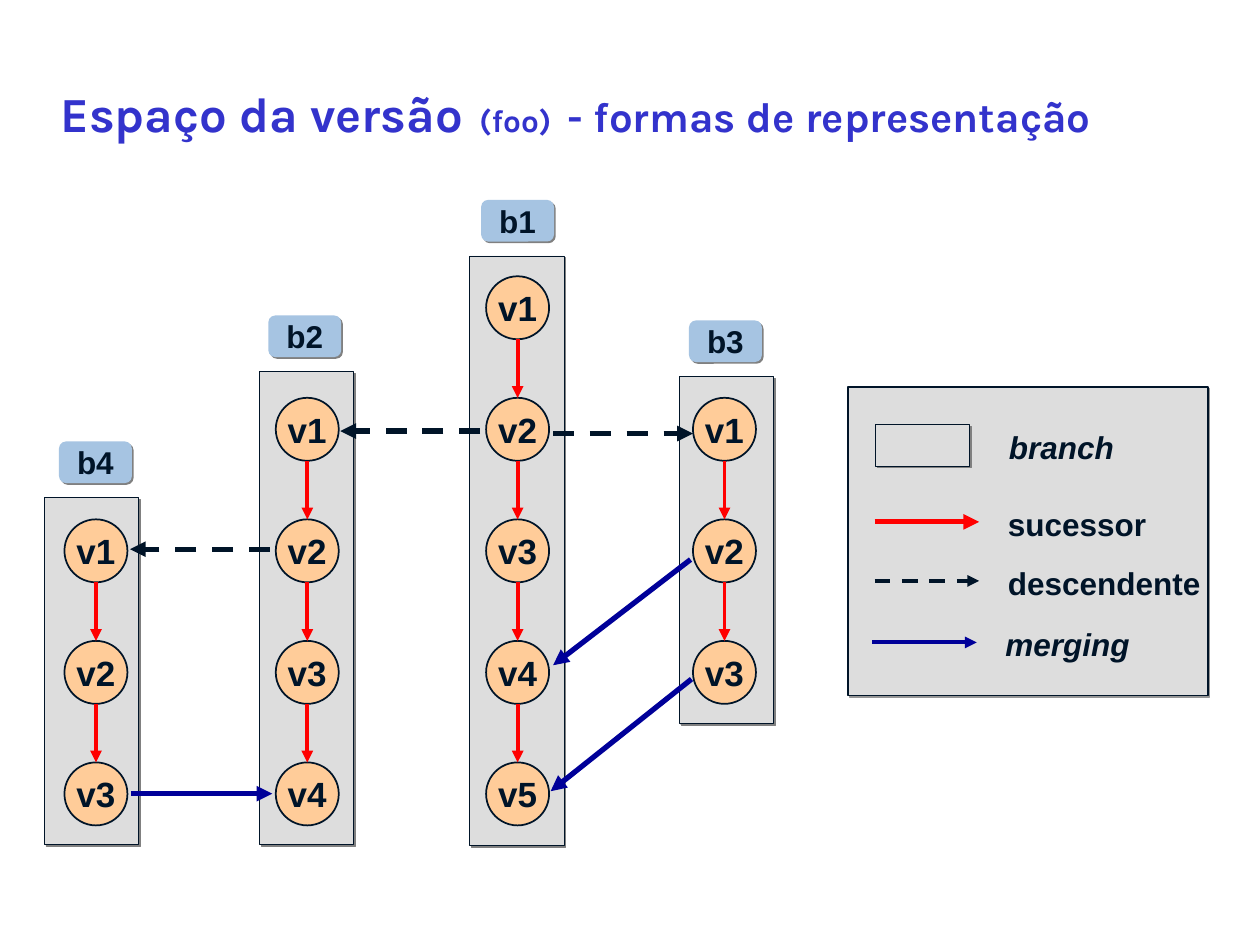
from lxml.etree import SubElement
from pptx import Presentation
from pptx.dml.color import RGBColor
from pptx.enum.dml import MSO_LINE
from pptx.enum.shapes import MSO_CONNECTOR, MSO_SHAPE
from pptx.enum.text import MSO_ANCHOR, MSO_AUTO_SIZE, PP_ALIGN
from pptx.oxml.ns import qn
from pptx.util import Cm, Pt

COLORS = {
    "ink": "001428", "title": "3333CC", "panel": "DDDDDD", "version": "FFCC99",
    "label": "A6C4E2", "successor": "FF0000", "merging": "000099",
    "shadow": "808080", "panel shadow": "969696",
}

# Content; all lengths in centimetres
TITLE = [("Espaço da versão", 28), (" ", 36), ("(foo)", 18), (" ", 36),
         ("- formas de representação", 24)]

# name, box left, box top, box height, label left, circle left, first row, versions
BRANCHES = [
    ("b4", 0.89, 10.03, 7.0, 1.19, 1.3, 2, 3),
    ("b2", 5.23, 7.49, 9.53, 5.41, 5.56, 1, 4),
    ("b3", 13.69, 7.59, 6.99, 13.89, 13.97, 1, 3),
    ("b1", 9.47, 5.16, 11.89, 9.7, 9.8, 0, 5),
]
# kind, start, end
LINKS = [
    ("descendant", (5.44, 11.07), (2.62, 11.07)),
    ("merging", (2.64, 16.0), (5.49, 16.0)),
    ("descendant", (9.68, 8.69), (6.86, 8.69)),
    ("descendant", (11.15, 8.74), (13.97, 8.74)),
    ("merging", (13.92, 11.28), (11.15, 13.41)),
    ("merging", (13.94, 13.69), (11.1, 15.95)),
]
# kind, text, left, middle, line width, italic
LEGEND = [
    ("branch", "branch", 17.65, 8.98, 0.5, True),
    ("successor", "sucessor", 17.63, 10.52, 3, False),
    ("descendant", "descendente", 17.63, 11.71, 2.25, False),
    ("merging", "merging", 17.58, 12.95, 2.25, True),
]
LINE_COLORS = {"successor": "successor", "descendant": "ink", "merging": "merging"}

FIRST_ROW, ROW_PITCH = 5.57, 2.45
CIRCLE, BOX_WIDTH = 1.27, 1.9
LABEL_WIDTH, LABEL_HEIGHT, LABEL_RISE = 1.47, 0.84, 1.13
CAPTION_WIDTH, CAPTION_DROP = 4.5, 0.04

presentation = Presentation()
presentation.slide_width, presentation.slide_height = Cm(25.4), Cm(19.05)
slide = presentation.slides.add_slide(presentation.slide_layouts[5])


def color(name):
    return RGBColor.from_string(COLORS[name])


def add_run(paragraph, text, size=18, name="Arial", fill="ink", italic=False):
    run = paragraph.add_run()
    run.text = text
    font = run.font
    font.size, font.name, font.bold, font.italic = Pt(size), name, True, italic
    font.color.rgb = color(fill)


def write(shape, text, align=PP_ALIGN.CENTER, **style):
    frame = shape.text_frame
    frame.word_wrap = False
    frame.vertical_anchor = MSO_ANCHOR.MIDDLE
    paragraph = frame.paragraphs[0]
    paragraph.alignment = align
    add_run(paragraph, text, **style)


def add_box(kind, left, top, width, height, fill, line_width=None, shadow=None):
    shape = slide.shapes.add_shape(kind, Cm(left), Cm(top), Cm(width), Cm(height))
    shape.fill.solid()
    shape.fill.fore_color.rgb = color(fill)
    if line_width:
        shape.line.color.rgb = color("ink")
        shape.line.width = Pt(line_width)
    else:
        shape.line.fill.background()
    shape.shadow.inherit = False
    if shadow:
        effects = shape._element.spPr.find(qn("a:effectLst"))
        outer = SubElement(effects, qn("a:outerShdw"), dist=str(Pt(1.4)),
                           dir="2700000", algn="ctr", rotWithShape="0")
        SubElement(outer, qn("a:srgbClr"), val=COLORS[shadow])
    return shape


def add_arrow(kind, start, end, width=3):
    arrow = slide.shapes.add_connector(MSO_CONNECTOR.STRAIGHT,
                                       *(Cm(value) for value in start + end))
    arrow.line.color.rgb = color(LINE_COLORS[kind])
    arrow.line.width = Pt(width)
    if kind == "descendant":
        arrow.line.dash_style = MSO_LINE.DASH
    SubElement(arrow.line._ln, qn("a:tailEnd"), type="triangle")
    SubElement(arrow._element.spPr, qn("a:effectLst"))


# Title
title = slide.shapes.title
title.left, title.top, title.width, title.height = Cm(0.66), Cm(1.27), Cm(24.1), Cm(1.78)
title.text_frame.auto_size = MSO_AUTO_SIZE.NONE
title.text_frame.vertical_anchor = MSO_ANCHOR.TOP
title.text_frame.margin_left = Cm(0.56)
title_paragraph = title.text_frame.paragraphs[0]
title_paragraph.alignment = PP_ALIGN.LEFT
for text, size in TITLE:
    add_run(title_paragraph, text, size=size, name="Karla", fill="title")

# Branches with their versions and successor arrows
for name, left, top, height, label_left, circle_left, first_row, count in BRANCHES:
    add_box(MSO_SHAPE.RECTANGLE, left, top, BOX_WIDTH, height, "panel", 0.25, "shadow")
    label = add_box(MSO_SHAPE.ROUNDED_RECTANGLE, label_left, top - LABEL_RISE,
                    LABEL_WIDTH, LABEL_HEIGHT, "label", shadow="shadow")
    write(label, name)
    middle = circle_left + CIRCLE / 2
    for index in range(count):
        circle_top = FIRST_ROW + (first_row + index) * ROW_PITCH
        circle = add_box(MSO_SHAPE.OVAL, circle_left, circle_top, CIRCLE, CIRCLE, "version", 1)
        write(circle, f"v{index + 1}", size=20)
        if index:
            previous_bottom = circle_top - ROW_PITCH + CIRCLE
            add_arrow("successor", (middle, previous_bottom), (middle, circle_top), 2.25)

# Links between branches
for kind, start, end in LINKS:
    add_arrow(kind, start, end)

# Legend
add_box(MSO_SHAPE.RECTANGLE, 17.09, 7.8, 7.26, 6.22, "panel", 1, "panel shadow")
for kind, text, left, middle, width, italic in LEGEND:
    top = middle - LABEL_HEIGHT / 2
    if kind == "branch":
        add_box(MSO_SHAPE.RECTANGLE, left, top, BOX_WIDTH, LABEL_HEIGHT,
                "panel", width, "shadow")
    else:
        add_arrow(kind, (left, middle), (left + 2.11, middle), width)
    caption = slide.shapes.add_textbox(Cm(left + 2.44), Cm(top + CAPTION_DROP),
                                       Cm(CAPTION_WIDTH), Cm(LABEL_HEIGHT))
    write(caption, text, align=PP_ALIGN.LEFT, italic=italic)

presentation.save("out.pptx")
